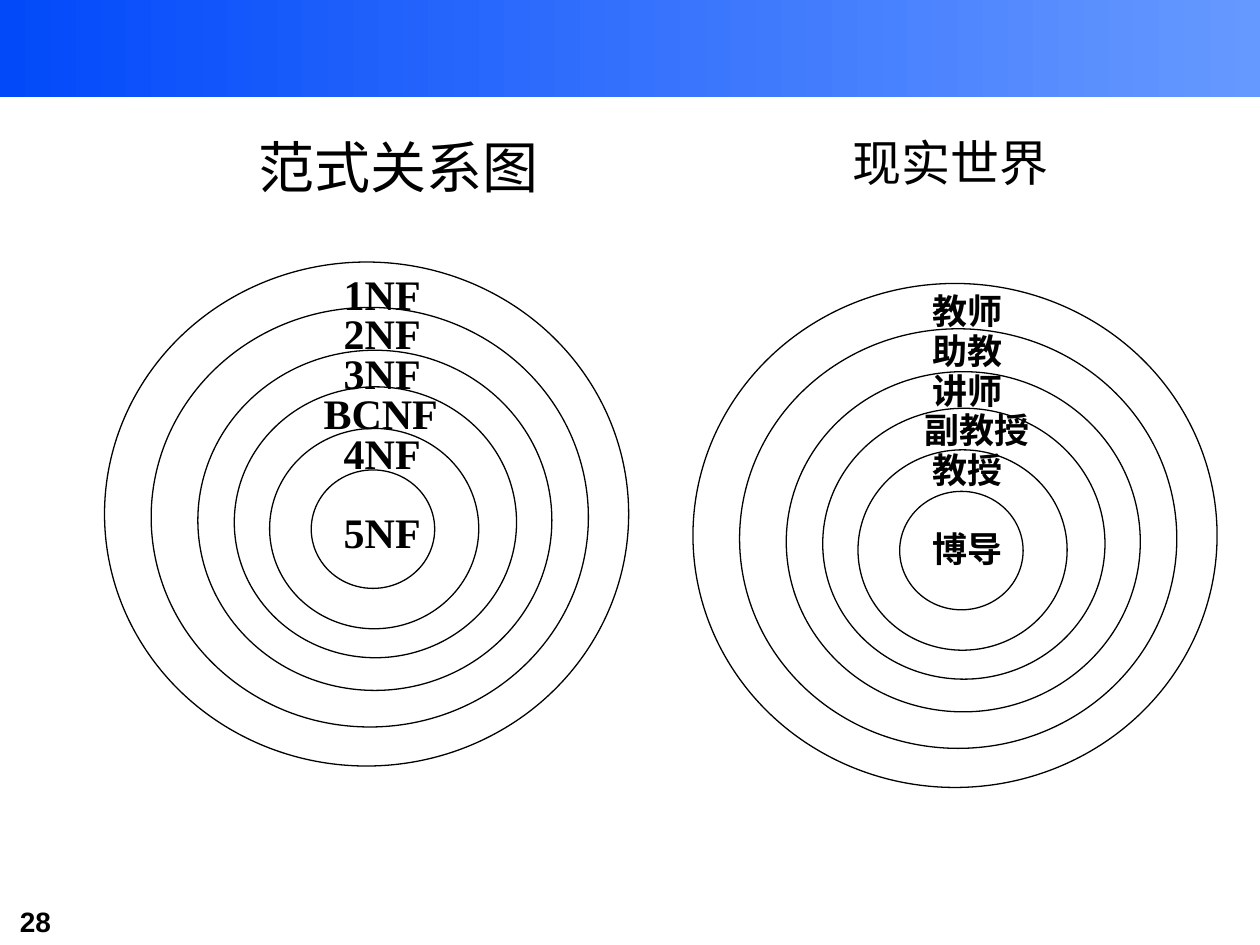
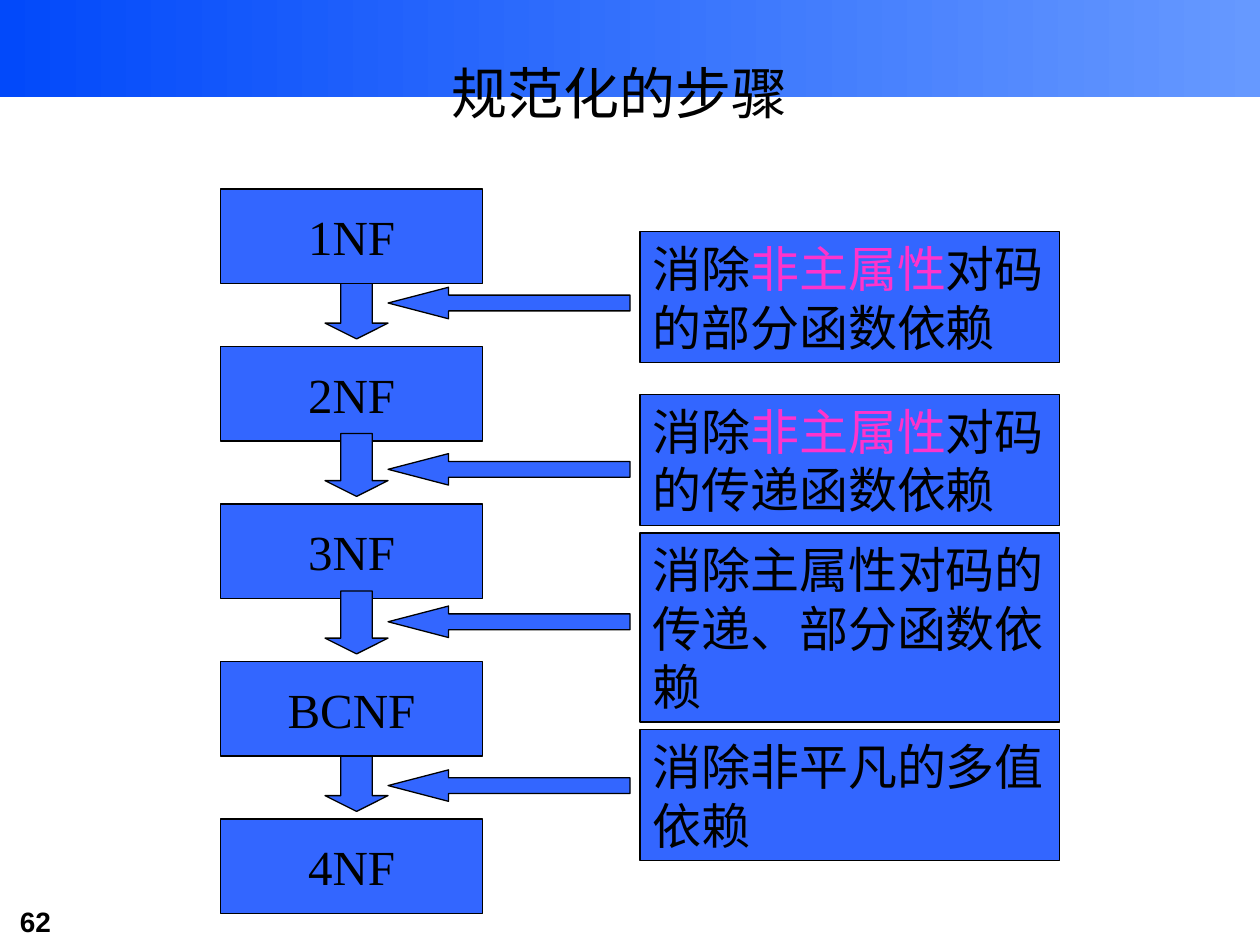
from dataclasses import dataclass

from pptx import Presentation
from pptx.dml.color import RGBColor
from pptx.enum.shapes import MSO_SHAPE
from pptx.enum.text import MSO_ANCHOR, MSO_AUTO_SIZE, PP_ALIGN
from pptx.util import Inches, Pt


@dataclass(frozen=True)
class Theme:
    black: RGBColor = RGBColor(0x00, 0x00, 0x00)
    blue: RGBColor = RGBColor(0x33, 0x66, 0xFF)
    pink: RGBColor = RGBColor(0xFF, 0x33, 0xCC)
    band_start: RGBColor = RGBColor(0x02, 0x49, 0xFA)
    band_end: RGBColor = RGBColor(0x66, 0x99, 0xFF)
    serif: str = "Times New Roman"
    sans: str = "Arial"
    title: int = 32
    body: int = 28
    ring_latin: int = 24
    ring_chinese: int = 20
    number: int = 16
    line: float = 0.75


class Deck:
    def __init__(self, theme):
        self.theme = theme
        self.prs = Presentation()
        self.prs.slide_width = Inches(10)
        self.prs.slide_height = Inches(7.5)
        self.s = None

    def slide(self, number, title, box):
        self.s = self.prs.slides.add_slide(self.prs.slide_layouts[5])
        sp = self.s.shapes.title
        sp.left, sp.top, sp.width, sp.height = map(Inches, box)
        self.set_text(sp, [title], self.theme.title, PP_ALIGN.CENTER, MSO_ANCHOR.MIDDLE)
        sp.element.addprevious(self.band().element)
        self.text(number, (0.06, 7.13, 1.22, 0.37), self.theme.number,
                  bold=True, font=self.theme.sans)

    def band(self):
        sp = self.s.shapes.add_shape(MSO_SHAPE.RECTANGLE, 0, 0, Inches(10), Inches(0.77))
        sp.shadow.inherit = False
        sp.line.fill.background()
        sp.fill.gradient()
        sp.fill.gradient_angle = 0
        colors = self.theme.band_start, self.theme.band_end
        for stop, color in zip(sp.fill.gradient_stops, colors):
            stop.color.rgb = color
        return sp

    def set_text(self, sp, parts, size, align=PP_ALIGN.LEFT, anchor=MSO_ANCHOR.TOP,
                 bold=False, font=None):
        tf = sp.text_frame
        tf.word_wrap = True
        tf.auto_size = MSO_AUTO_SIZE.NONE
        tf.vertical_anchor = anchor
        p = tf.paragraphs[0]
        p.alignment = align
        p.font.name = font or self.theme.serif
        p.font.size = Pt(size)
        p.font.bold = bold
        p.font.color.rgb = self.theme.black
        for i, part in enumerate(parts):
            r = p.add_run()
            r.text = part
            r.font.color.rgb = self.theme.pink if i == 1 else self.theme.black

    def text(self, text, box, size, **style):
        sp = self.s.shapes.add_textbox(*map(Inches, box))
        self.set_text(sp, [text], size, **style)

    def shape(self, kind, box, filled=True, adjust=()):
        sp = self.s.shapes.add_shape(kind, *map(Inches, box))
        sp.shadow.inherit = False
        sp.line.color.rgb = self.theme.black
        sp.line.width = Pt(self.theme.line)
        if filled:
            sp.fill.solid()
            sp.fill.fore_color.rgb = self.theme.blue
        else:
            sp.fill.background()
        for i, value in enumerate(adjust):
            sp.adjustments[i] = value
        return sp

    def box(self, parts, box, align):
        sp = self.shape(MSO_SHAPE.RECTANGLE, box)
        self.set_text(sp, parts, self.theme.body, align, MSO_ANCHOR.MIDDLE)

    def down_arrow(self, top):
        self.shape(MSO_SHAPE.DOWN_ARROW, (2.58, top, 0.5, 0.5), adjust=(0.5, 0.25))

    def left_arrow(self, top):
        self.shape(MSO_SHAPE.LEFT_ARROW, (3.08, top, 1.92, 0.25), adjust=(0.5, 1.92))

    def rings(self, left, top, labels, size):
        for dx, dy, width, height in RINGS:
            self.shape(MSO_SHAPE.OVAL, (left + dx, top + dy, width, height), filled=False)
        for row, label in zip(LABEL_ROWS, labels):
            wide = len(label) == max(map(len, labels))
            dx, width = (1.64, 1.23) if wide else (1.8, 0.9)
            align = PP_ALIGN.CENTER if label == "副教授" else PP_ALIGN.LEFT
            self.text(label, (left + dx, top + 0.315 * row, width, size / 48),
                      size, align=align, bold=True)


RINGS = [
    (1.64, 1.65, 0.98, 0.94),
    (1.31, 1.32, 1.66, 1.59),
    (1.03, 0.99, 2.24, 2.15),
    (0.74, 0.7, 2.81, 2.7),
    (0.37, 0.36, 3.47, 3.33),
    (0, 0, 4.16, 4),
]
LABEL_ROWS = (0, 1, 2, 3, 4, 6)
NORMAL_FORMS = ["1NF", "2NF", "3NF", "BCNF", "4NF"]
RANKS = ["教师", "助教", "讲师", "副教授", "教授", "博导"]
STEP = 1.25
COVERED_ARROWS = (0, 3)
ELIMINATIONS = [
    (["消除", "非主属性", "对码的部分函数依赖"], 1.84, 1.04, 2.28),
    (["消除", "非主属性", "对码的传递函数依赖"], 3.13, 1.04, 3.6),
    (["消除主属性对码的传递、部分函数依赖"], 4.23, 1.5, 4.81),
    (["消除非平凡的多值依赖"], 5.79, 1.04, 6.11),
]


def relation_slide(deck):
    deck.slide("28", "范式关系图", (0.33, 1, 5.67, 0.63))
    deck.rings(0.83, 2.08, NORMAL_FORMS + ["5NF"], deck.theme.ring_latin)
    deck.rings(5.5, 2.25, RANKS, deck.theme.ring_chinese)
    deck.text("现实世界", (6.67, 1, 2.17, 0.57), deck.theme.body)


def steps_slide(deck):
    deck.slide("62", "规范化的步骤", (0.67, 0.42, 8.5, 0.63))
    arrow_tops = [2.19 + STEP * i for i in range(len(NORMAL_FORMS) - 1)]
    for i in COVERED_ARROWS:
        deck.down_arrow(arrow_tops[i])
    for i, form in enumerate(NORMAL_FORMS):
        deck.box([form], (1.75, 1.5 + STEP * i, 2.08, 0.75), PP_ALIGN.CENTER)
    for i, top in enumerate(arrow_tops):
        if i not in COVERED_ARROWS:
            deck.down_arrow(top)
    for parts, top, height, arrow_top in ELIMINATIONS:
        deck.box(parts, (5.08, top, 3.33, height), PP_ALIGN.LEFT)
        deck.left_arrow(arrow_top)


def main():
    deck = Deck(Theme())
    relation_slide(deck)
    steps_slide(deck)
    deck.prs.save("out.pptx")


if __name__ == "__main__":
    main()
